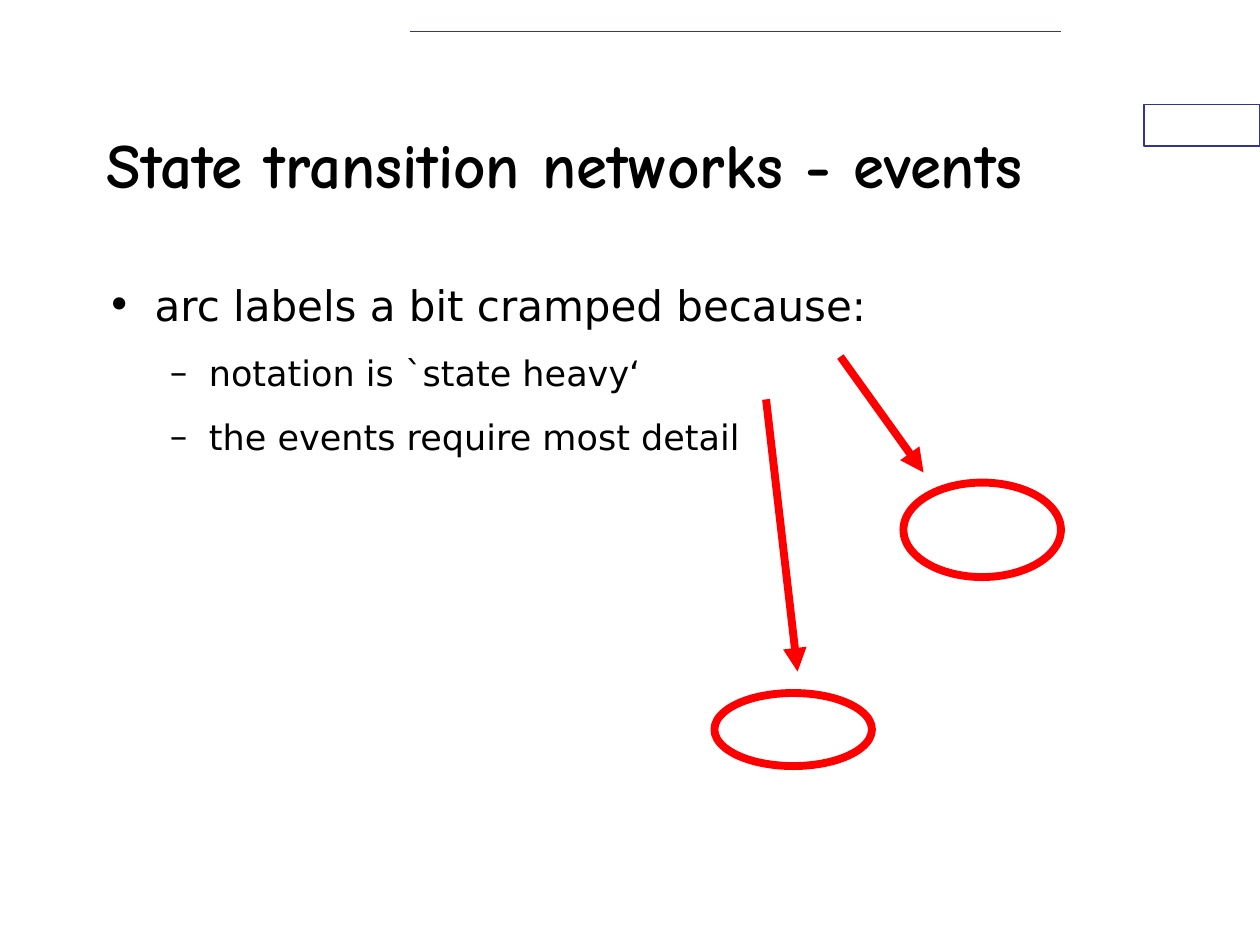
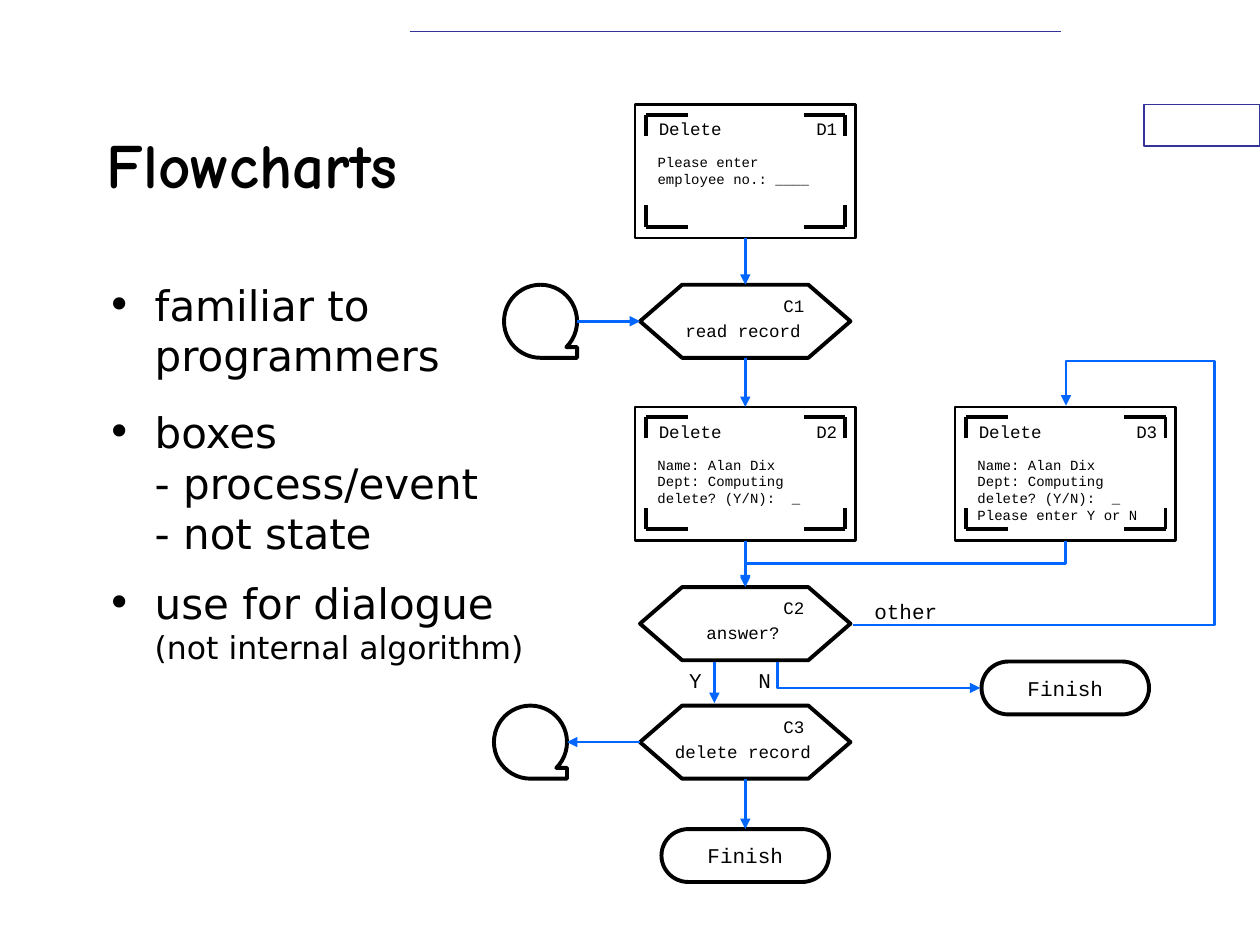
from pptx import Presentation
from pptx.dml.color import RGBColor
from pptx.enum.shapes import MSO_CONNECTOR, MSO_SHAPE
from pptx.enum.text import MSO_ANCHOR, PP_ALIGN
from pptx.oxml.ns import qn
from pptx.util import Inches, Pt
from lxml.etree import SubElement

BLACK, WHITE, RED, BLUE, NAVY = "000000", "FFFFFF", "FF0000", "0066FF", "333399"
TITLE = {"name": "Comic Neue", "size": Pt(36), "bold": True}
SANS, MONO = "DejaVu Sans", "Courier New"
TOP, LEFT, BOTTOM, RIGHT = range(4)
LEVELS = [("•", 0.38, -0.38), ("–", 0.81, -0.31)]
SCREEN_W, SCREEN_H = 1.75, 1.06
LABEL_CENTER = 5.9


def rgb(color):
    return RGBColor.from_string(color)


def inches(*values):
    return [Inches(v) for v in values]


def add_run(p, text, **font):
    r = p.add_run()
    r.text = text
    for name, value in font.items():
        setattr(r.font, name, value)
    r.font.color.rgb = rgb(BLACK)


def add_shape(s, kind, box, color=BLACK, width=2.25, fill=WHITE):
    sp = s.shapes.add_shape(kind, *inches(*box))
    sp.shadow.inherit = False
    if fill:
        sp.fill.solid()
        sp.fill.fore_color.rgb = rgb(fill)
    else:
        sp.fill.background()
    sp.line.color.rgb = rgb(color)
    sp.line.width = Pt(width)
    return sp


def style_line(c, color, width, arrow):
    c.line.color.rgb = rgb(color)
    c.line.width = Pt(width)
    spPr = c._element.spPr
    if arrow:
        SubElement(spPr.find(qn("a:ln")), qn("a:tailEnd"), type="triangle")
    SubElement(spPr, qn("a:effectLst"))


def add_line(s, start, end, color=BLACK, width=2.25, arrow=False):
    c = s.shapes.add_connector(MSO_CONNECTOR.STRAIGHT, *inches(*start, *end))
    style_line(c, color, width, arrow)
    return c


def join(s, source, source_side, target, target_side):
    c = add_line(s, (0, 0), (1, 1), BLUE, 1.5, True)
    c.begin_connect(source, source_side)
    c.end_connect(target, target_side)


def add_elbow(s, box, preset, adjust=(), **turn):
    x, y, w, h = box
    c = s.shapes.add_connector(MSO_CONNECTOR.ELBOW, *inches(x, y, x + w, y + h))
    spPr = c._element.spPr
    for name, value in turn.items():
        spPr.find(qn("a:xfrm")).set(name, str(value))
    geom = spPr.find(qn("a:prstGeom"))
    geom.set("prst", preset)
    guides = geom.find(qn("a:avLst"))
    if guides is None:
        guides = SubElement(geom, qn("a:avLst"))
    for i, value in enumerate(adjust, 1):
        SubElement(guides, qn("a:gd"), name=f"adj{i}", fmla=f"val {value}")
    style_line(c, BLUE, 1.5, True)


def add_mono(s, x, y, lines, size, tab_column=8):
    char_w = size * 0.6 / 72
    columns = max(len(line.expandtabs(tab_column)) for line in lines)
    box = inches(x, y, columns * char_w + 0.25, len(lines) * size * 1.14 / 72 + 0.1)
    tf = s.shapes.add_textbox(*box).text_frame
    tf.word_wrap = True
    for i, line in enumerate(lines):
        p = tf.add_paragraph() if i else tf.paragraphs[0]
        if "\t" in line:
            tabs = SubElement(p._p.get_or_add_pPr(), qn("a:tabLst"))
            SubElement(tabs, qn("a:tab"), pos=str(Inches(tab_column * char_w)), algn="l")
        add_run(p, line, name=MONO, size=Pt(size))


def add_frame(s, title):
    add_shape(s, MSO_SHAPE.RECTANGLE, (9.08, 0.83, 0.92, 0.33), NAVY, 0.75)
    add_line(s, (3.25, 0.25), (8.42, 0.25), NAVY, 1)
    tf = s.shapes.add_textbox(*inches(0.75, 0.67, 7.5, 1.25)).text_frame
    tf.word_wrap = True
    tf.vertical_anchor = MSO_ANCHOR.MIDDLE
    add_run(tf.paragraphs[0], title, **TITLE)


def add_bullets(s, items):
    tf = s.shapes.add_textbox(*inches(0.75, 2.17, 8.5, 4.5)).text_frame
    tf.word_wrap = True
    for i, (level, before, lines) in enumerate(items):
        p = tf.add_paragraph() if i else tf.paragraphs[0]
        p.level = level
        p.space_before = Pt(before)
        mark, margin, indent = LEVELS[level]
        pPr = p._p.get_or_add_pPr()
        pPr.set("marL", str(Inches(margin)))
        pPr.set("indent", str(Inches(indent)))
        SubElement(pPr, qn("a:buFont"), typeface=SANS)
        SubElement(pPr, qn("a:buChar"), char=mark)
        for j, (text, size) in enumerate(lines):
            if j:
                p.add_line_break()
            add_run(p, text, name=SANS, size=Pt(size))


def add_screen(s, x, y, code, lines):
    sp = add_shape(s, MSO_SHAPE.RECTANGLE, (x, y, SCREEN_W, SCREEN_H), width=1.5)
    add_mono(s, x + 0.09, y + 0.06, [f"Delete\t{code}"], 10, 15)
    for cx, arm_x in ((x + 0.09, 0.33), (x + 1.67, -0.33)):
        for cy, arm_y in ((y + 0.08, 0.17), (y + 0.97, -0.17)):
            add_line(s, (cx, cy), (cx, cy + arm_y))
            add_line(s, (cx, cy), (cx + arm_x, cy))
    add_mono(s, x + 0.08, y + 0.34, lines, 8, 16)
    return sp


def add_process(s, y, code, label):
    sp = add_shape(s, MSO_SHAPE.FLOWCHART_PREPARATION, (5.08, y, 1.67, 0.58))
    add_mono(s, LABEL_CENTER - len(label) / 24 - 0.1, y + 0.23, [label], 10)
    add_mono(s, 6.12, y + 0.03, [code], 10)
    return sp


def add_tape(s, x, y):
    kind = MSO_SHAPE.FLOWCHART_SEQUENTIAL_ACCESS_STORAGE
    return add_shape(s, kind, (x, y, 0.58, 0.58))


def add_finish(s, x, y):
    sp = add_shape(s, MSO_SHAPE.FLOWCHART_TERMINATOR, (x, y, 1.33, 0.42))
    tf = sp.text_frame
    tf.word_wrap = False
    tf.vertical_anchor = MSO_ANCHOR.MIDDLE
    p = tf.paragraphs[0]
    p.alignment = PP_ALIGN.CENTER
    add_run(p, "Finish", name=MONO, size=Pt(12))
    return sp


def build_events(s):
    add_frame(s, "State transition networks - events")
    add_bullets(s, [
        (0, 15, [("arc labels a bit cramped because:", 24)]),
        (1, 12.5, [("notation is `state heavy‘", 20)]),
        (1, 12.5, [("the events require most detail", 20)]),
    ])
    for box in ((5.67, 5.5, 1.25, 0.58), (7.17, 3.83, 1.25, 0.75)):
        add_shape(s, MSO_SHAPE.OVAL, box, RED, 4.5, None)
    for start, end in (((6.67, 2.83), (7.33, 3.75)), ((6.08, 3.17), (6.33, 5.33))):
        add_line(s, start, end, RED, 4.5, True)


def build_flowchart(s):
    add_frame(s, "Flowcharts")
    add_bullets(s, [
        (0, 15, [("familiar to", 24), ("programmers", 24)]),
        (0, 15, [("boxes", 24), ("- process/event", 24), ("- not state", 24)]),
        (0, 11.2, [("use for dialogue", 24), ("(not internal algorithm)", 18)]),
    ])
    record = ["Name: Alan Dix", "Dept: Computing", "delete? (Y/N):\t_"]
    ask = add_screen(s, 5.04, 0.83, "D1", ["Please enter", "employee no.: ____"])
    add_screen(s, 7.58, 3.23, "D3", record + ["Please enter Y or N"])
    confirm = add_screen(s, 5.04, 3.23, "D2", record)
    read = add_process(s, 2.26, "C1", "read record")
    answer = add_process(s, 4.66, "C2", "answer?")
    delete = add_process(s, 5.6, "C3", "delete record")
    source_tape = add_tape(s, 4, 2.26)
    target_tape = add_tape(s, 3.92, 5.6)
    finish = add_finish(s, 5.25, 6.58)
    add_finish(s, 7.79, 5.25)

    join(s, source_tape, RIGHT, read, LEFT)
    join(s, delete, LEFT, target_tape, RIGHT)
    for upper, lower in ((ask, read), (read, confirm), (confirm, answer), (delete, finish)):
        join(s, upper, BOTTOM, lower, TOP)
    add_line(s, (5.67, 5.25), (5.67, 5.58), BLUE, 1.5, True)
    add_elbow(s, (7.01, 3.2, 0.35, 2.54), "bentConnector3", [50400], rot=90 * 60000)
    add_elbow(s, (6.87, 4.55, 0.21, 1.61), "bentConnector2", rot=270 * 60000, flipH=1)
    add_elbow(s, (6.77, 3.22, 1.69, 1.74), "bentConnector4", [169700, 120300], flipV=1)
    for x, y, label in ((6.84, 4.7, "other"), (5.92, 5.25, "N"), (5.37, 5.25, "Y")):
        add_mono(s, x, y, [label], 12)


def main():
    prs = Presentation()
    prs.slide_width, prs.slide_height = inches(10, 7.5)
    for build in (build_events, build_flowchart):
        build(prs.slides.add_slide(prs.slide_layouts[6]))
    prs.save("out.pptx")


if __name__ == "__main__":
    main()
